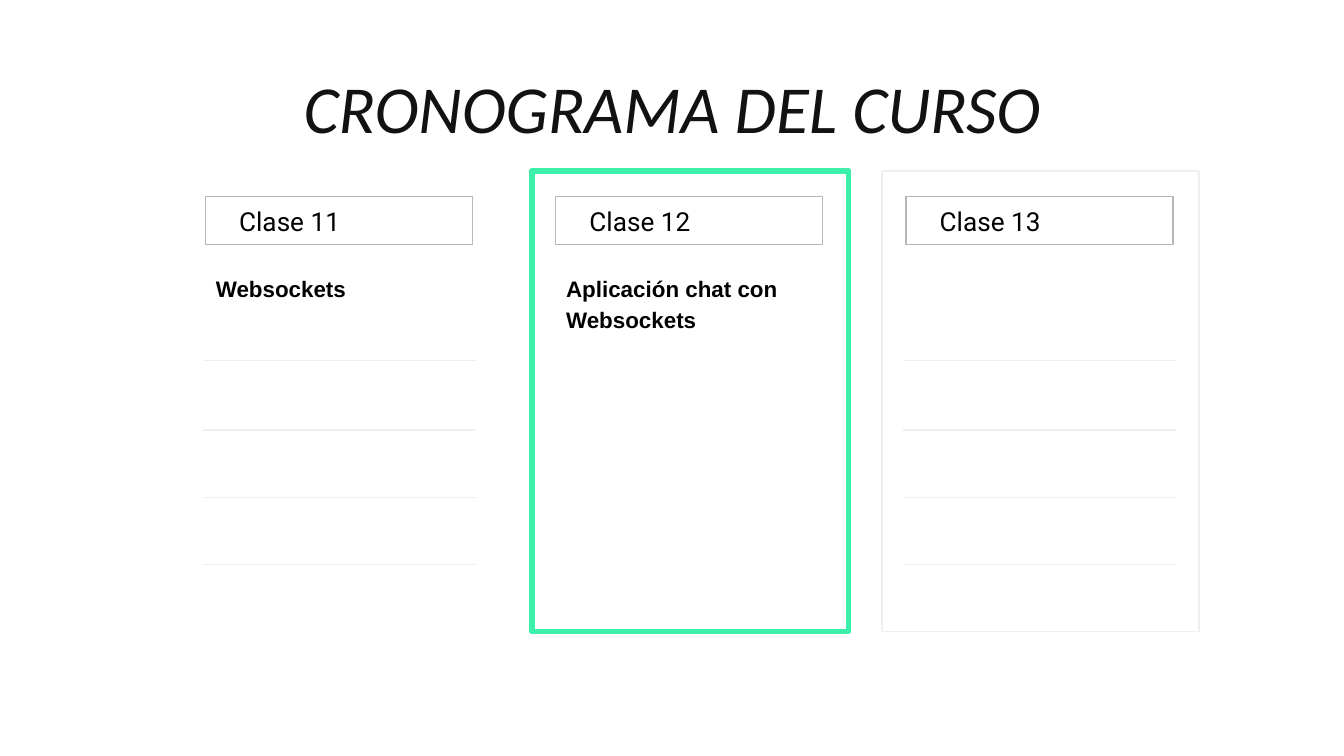
from lxml import etree
from pptx import Presentation
from pptx import util as u
from pptx.dml.color import RGBColor
from pptx.enum import shapes, text
from pptx.oxml.ns import qn

GREEN, GRAY, PALE = "3CEFAB", "B7B7B7", "EFEFEF"
BLACK, TITLE_COLOR = "000000", "121212"

COLUMN_LEFT, COLUMN_TOP, COLUMN_PITCH = 3.83, 3.23, 6.62
COLUMN_WIDTH, COLUMN_HEIGHT = 5.16, 8.71
RULE_OFFSETS = (3.58, 4.9, 6.17, 7.44)

# Class, topic, (frame colour, frame width in points), ruled lines
CLASSES = [
    ("Clase 11", "Websockets", None, True),
    ("Clase 12", "Aplicación chat con Websockets", (GREEN, 3), False),
    ("Clase 13", None, (PALE, 0.75), True),
]


def color(value):
    return RGBColor.from_string(value)


def add_outline(slide, left, top, width, height, line_color, line_width):
    shape = slide.shapes.add_shape(
        shapes.MSO_SHAPE.RECTANGLE, u.Cm(left), u.Cm(top), u.Cm(width), u.Cm(height))
    shape.shadow.inherit = False
    shape.fill.background()
    shape.line.color.rgb = color(line_color)
    shape.line.width = u.Pt(line_width)
    etree.SubElement(shape.line._get_or_add_ln(), qn("a:round"))


def add_rule(slide, left, top, width):
    connector = slide.shapes.add_connector(
        shapes.MSO_CONNECTOR.STRAIGHT,
        u.Cm(left), u.Cm(top), u.Cm(left + width), u.Cm(top))
    connector.line.color.rgb = color(PALE)
    connector.line.width = u.Pt(0.75)
    etree.SubElement(connector._element.spPr, qn("a:effectLst"))


def add_text(slide, left, top, width, height, words, font_name, size,
             font_color=BLACK, bold=False, italic=False, spacing=None,
             align=text.PP_ALIGN.LEFT, anchor=text.MSO_ANCHOR.TOP):
    box = slide.shapes.add_textbox(u.Cm(left), u.Cm(top), u.Cm(width), u.Cm(height))
    frame = box.text_frame
    frame.word_wrap = True
    frame.vertical_anchor = anchor
    frame.margin_left = frame.margin_right = u.Cm(0.25)
    frame.margin_top = frame.margin_bottom = u.Cm(0.25)
    paragraph = frame.paragraphs[0]
    paragraph.alignment = align
    paragraph.line_spacing = spacing
    run = paragraph.add_run()
    run.text = words
    run.font.name = font_name
    run.font.size = u.Pt(size)
    run.font.bold = bold
    run.font.italic = italic
    run.font.color.rgb = color(font_color)


def add_title(slide, left, top, width, height):
    add_text(slide, left, top, width, height, "CRONOGRAMA DEL CURSO", "Calibri", 36,
             TITLE_COLOR, italic=True, align=text.PP_ALIGN.CENTER,
             anchor=text.MSO_ANCHOR.MIDDLE)


def add_class_column(slide, left, top, width, height, name, topic, frame, ruled):
    if frame:
        add_outline(slide, left - 0.4, top, width + 0.83, height, *frame)
    add_outline(slide, left + 0.05, top + 0.48, width - 0.11, 0.91, GRAY, 0.75)
    add_text(slide, left + 0.44, top + 0.4, 3.43, 1.02, name, "Roboto", 14)
    if topic:
        add_text(slide, left, top + 1.65, width, 1.17, topic, "Arial", 12,
                 bold=True, spacing=1.15)
    if ruled:
        for offset in RULE_OFFSETS:
            add_rule(slide, left, top + offset, width)


def main():
    presentation = Presentation()
    presentation.slide_width = u.Cm(25.4)
    presentation.slide_height = u.Cm(14.29)
    slide = presentation.slides.add_slide(presentation.slide_layouts[6])
    for index, details in enumerate(CLASSES):
        add_class_column(slide, COLUMN_LEFT + index * COLUMN_PITCH, COLUMN_TOP,
                         COLUMN_WIDTH, COLUMN_HEIGHT, *details)
    add_title(slide, 3.89, 0.64, 17.63, 2.74)
    presentation.save("out.pptx")


if __name__ == "__main__":
    main()
